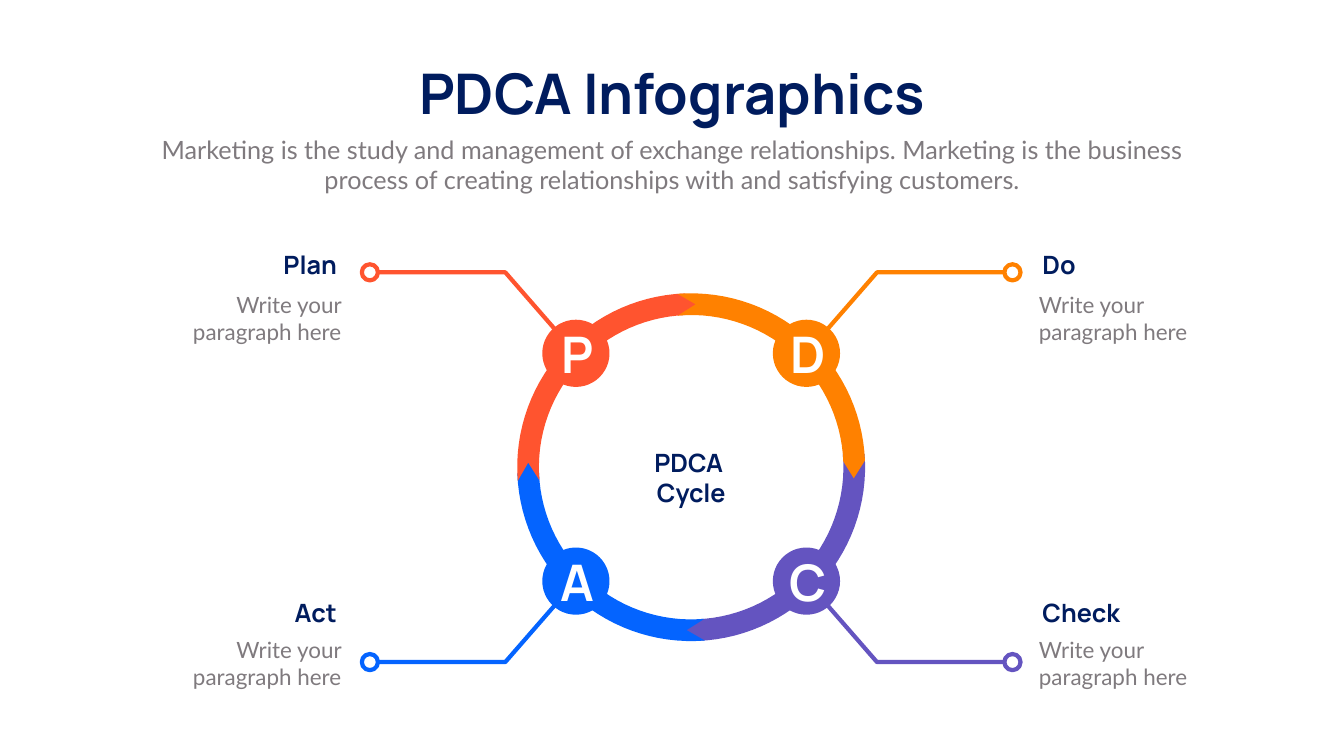
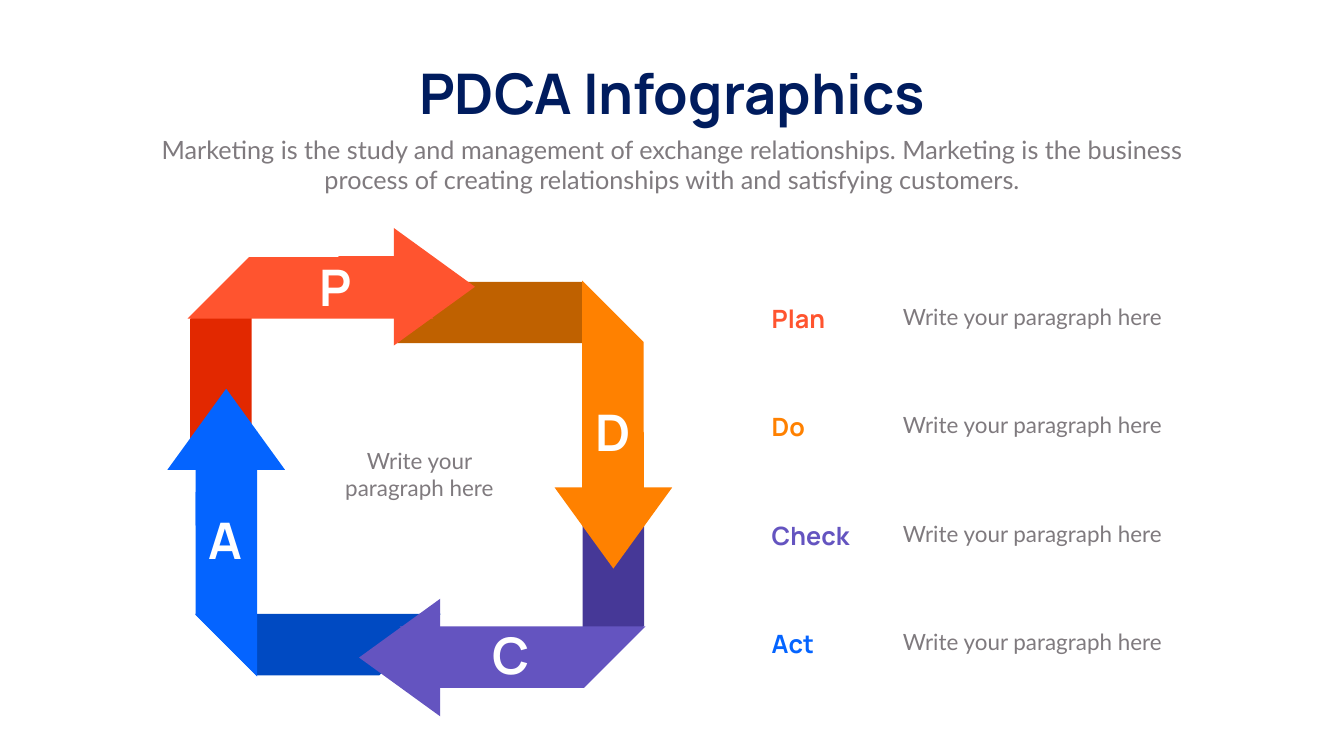
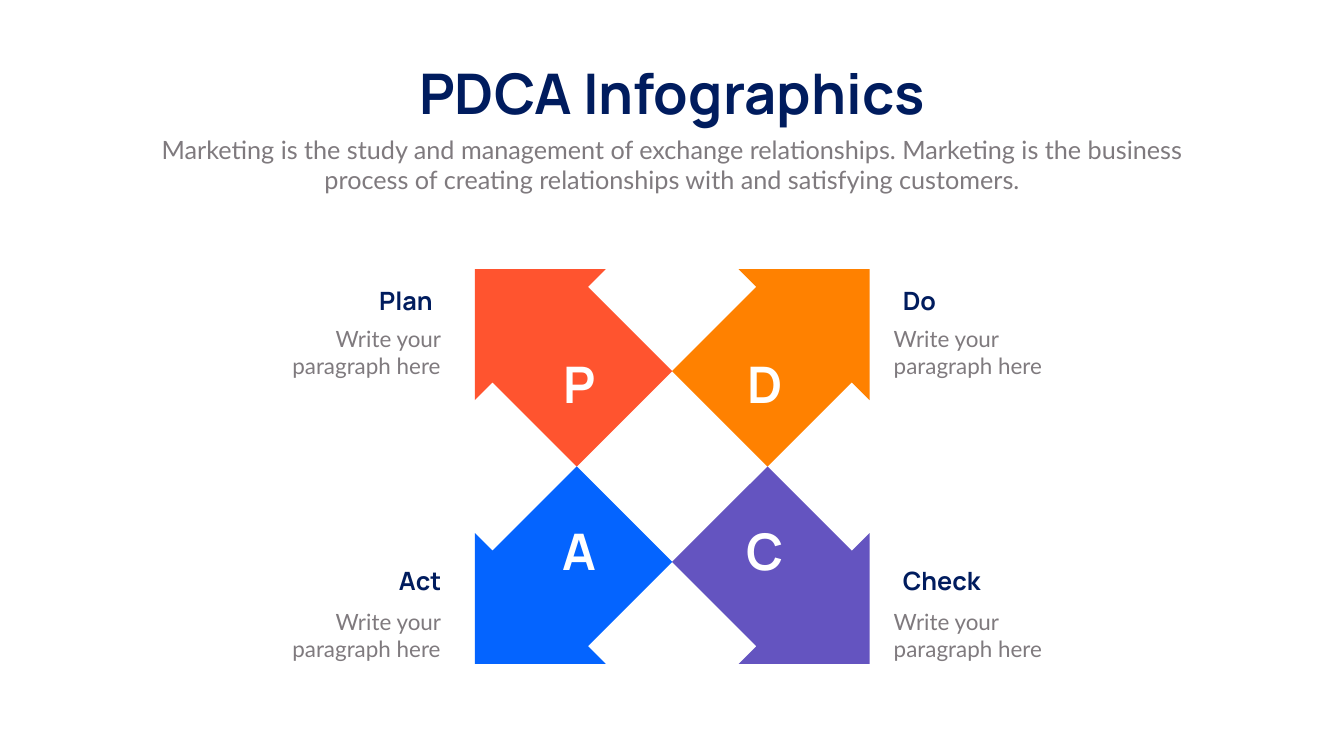
"""Build three PDCA infographic slides on an 80 by 45 grid."""
from dataclasses import dataclass
from math import cos, radians, sin

from pptx import Presentation
from pptx import util as u
from pptx.dml.color import RGBColor
from pptx.enum import shapes, text


@dataclass(frozen=True)
class Theme:
    navy: str = "001C5E"
    grey: str = "7F7A7E"
    white: str = "FFFFFF"
    head_font: str = "Manrope"
    body_font: str = "Lato"
    title: int = 80
    letter: int = 72
    head: int = 36
    body: int = 32
    line: int = 6


T = Theme()
KIND = shapes.MSO_SHAPE
LEFT, CENTER, RIGHT = text.PP_ALIGN.LEFT, text.PP_ALIGN.CENTER, text.PP_ALIGN.RIGHT
NOTE = "Write your paragraph here"
INTRO = ("Marketing is the study and management of exchange relationships. "
         "Marketing is the business process of creating relationships with "
         "and satisfying customers.")

prs = Presentation()
prs.slide_width, prs.slide_height = u.Inches(26.66), u.Inches(15)
UNIT = prs.slide_height // 45


def add_text(s, x, y, w, h, words, size, color, font=T.head_font, align=CENTER):
    sp = s.shapes.add_textbox(*(round(v * UNIT) for v in (x, y, w, h)))
    tf = sp.text_frame
    tf.word_wrap = True
    tf.auto_size = text.MSO_AUTO_SIZE.SHAPE_TO_FIT_TEXT
    p = tf.paragraphs[0]
    p.alignment = align
    for i, line in enumerate(words.split("\n")):
        if i:
            p.add_line_break()
        r = p.add_run()
        r.text = line
        r.font.name, r.font.size = font, u.Pt(size)
        r.font.bold = font == T.head_font
        r.font.color.rgb = RGBColor.from_string(color)


def add_centred(s, kind, cx, cy, w, h, fill, rotation=0, flip=False, line=None):
    box = (cx - w / 2, cy - h / 2, w, h)
    sp = s.shapes.add_shape(kind, *(round(v * UNIT) for v in box))
    sp.shadow.inherit = False
    sp.rotation = rotation % 360
    sp.fill.solid()
    sp.fill.fore_color.rgb = RGBColor.from_string(fill)
    if line:
        sp.line.color.rgb = RGBColor.from_string(line)
        sp.line.width = u.Pt(T.line)
    else:
        sp.line.fill.background()
    if flip:
        sp._element.spPr.get_or_add_xfrm().set("flipH", "1")
    return sp


steps = [
    ("P", "Plan", "FF542F", "E22800", -1, -1),
    ("D", "Do", "FF8100", "BF6100", 1, -1),
    ("C", "Check", "6454C0", "463897", 1, 1),
    ("A", "Act", "0464FF", "004AC2", -1, 1),
]

slides = []
for _ in range(3):
    s = prs.slides.add_slide(prs.slide_layouts[6])
    add_text(s, 23.5, 3.36, 33, 4.35, "PDCA Infographics", T.title, T.navy)
    add_text(s, 8.76, 7.83, 62.46, 3.93, INTRO, T.head, T.grey, T.body_font)
    slides.append(s)
ring_slide, loop_slide, cross_slide = slides

s = ring_slide
cx, cy = 41.13, 27.81
outer, middle, inner = 10.35, 9.7, 9.06
node_x, node_y = 6.86, 6.78

for letter, name, color, dark, dx, dy in steps:
    offsets = [(node_x, node_y), (11.06, 11.6), (19.12, 11.6)]
    pts = [((cx + dx * x) * UNIT, (cy + dy * y) * UNIT) for x, y in offsets]
    fb = s.shapes.build_freeform(*pts[0])
    fb.add_line_segments(pts[1:], close=False)
    sp = fb.convert_to_shape()
    sp.shadow.inherit = False
    sp.fill.background()
    sp.line.color.rgb = RGBColor.from_string(color)
    sp.line.width = u.Pt(T.line)
    add_centred(s, KIND.OVAL, cx + dx * 19.12, cy + dy * 11.6, 0.96, 0.96, T.white, line=color)

for k in (2, 3, 0, 1):
    start = 180 + 90 * k
    polar = [(middle, start + 1.6)]
    polar += [(outer, start - 4.5 + 92.3 * i / 30) for i in range(31)]
    polar += [(middle, start + 93.9)]
    polar += [(inner, start + 87.8 - 92.8 * i / 30) for i in range(31)]
    pts = [((cx + radius * cos(radians(a))) * UNIT, (cy + radius * sin(radians(a))) * UNIT)
           for radius, a in polar]
    fb = s.shapes.build_freeform(*pts[0])
    fb.add_line_segments(pts[1:], close=True)
    sp = fb.convert_to_shape()
    sp.shadow.inherit = False
    sp.fill.solid()
    sp.fill.fore_color.rgb = RGBColor.from_string(steps[k][2])
    sp.line.fill.background()

for letter, name, color, dark, dx, dy in steps:
    x, y = cx + dx * node_x, cy + dy * node_y
    add_centred(s, KIND.OVAL, x, y, 4, 4, color)
    add_text(s, x - 2.15, y - 1.93, 4.47, 3.93, letter, T.letter, T.white)
add_text(s, cx - 5.05, 26.49, 10.11, 3.93, "PDCA \nCycle", T.head, T.navy)

s = loop_slide
tails = [(14.97, 22.64), (30.95, 20.43), (34.68, 33.59), (18.92, 36.54)]
bodies = [(18.47, 18.96), (34.65, 24.02), (31.1, 37.29), (15.3, 32.96)]
heads = [(25.85, 17.07), (36.5, 31.43), (23.78, 39.14), (13.46, 25.55)]
wedges = [(22.53, 16.95), (36.62, 28.1), (27.03, 39.24), (13.34, 28.88)]
letters = [(19.97, 17.09), (36.5, 25.7), (30.41, 38.99), (13.43, 32.15)]

for k, step in enumerate(steps):
    add_centred(s, KIND.DIAGONAL_STRIPE, *tails[k], 10.34, 10.34, step[3], 225 + 90 * k, True)
for k, (letter, name, color, dark, dx, dy) in enumerate(steps):
    turn = 315 + 90 * k
    add_centred(s, KIND.DIAGONAL_STRIPE, *bodies[k], 10.34, 10.34, color, turn, True)
    add_centred(s, KIND.ISOSCELES_TRIANGLE, *heads[k], 7, 4.83, color, turn + 135, True)
    add_centred(s, KIND.RIGHT_TRIANGLE, *wedges[k], 3.4, 4.82, color, turn - 45, True)
    x, y = letters[k]
    add_text(s, x - 2.23, y - 1.97, 4.47, 3.93, letter, T.letter, T.white)
    row = 17.88 + 6.46 * k
    add_text(s, 53.43, row, 17.82, 1.92, NOTE, T.body, T.grey, T.body_font, LEFT)
    add_text(s, 45.63, row, 5.8, 2.13, name, T.head, color, align=LEFT)
add_text(s, 20.01, 26.46, 9.9, 3.54, NOTE, T.body, T.grey, T.body_font)

s = cross_slide
cx, cy = 40, 27.77
for k, (letter, name, color, dark, dx, dy) in enumerate(steps):
    sp = add_centred(s, KIND.RIGHT_ARROW, cx + dx * 7.29, cy + dy * 7.29, 12.6, 11.01,
                     color, 225 + 90 * k)
    sp.adjustments[0], sp.adjustments[1] = 0.73, 0.5
    add_text(s, cx + dx * 5.52 - 2.23, cy + dy * 5 - 1.93, 4.47, 3.93,
             letter, T.letter, T.white)

captions = [
    (ring_slide, (20.34, 61.74, 61.74, 20.34), (14.67, 35.4), (20.61, 61.53), (17.16, 37.7)),
    (cross_slide, (26.04, 53.43, 53.43, 26.55), (16.83, 33.48), (26.52, 52.89), (19.2, 36.06)),
]
for s, head_edges, head_rows, note_edges, note_rows in captions:
    for (letter, name, color, dark, dx, dy), head_edge in zip(steps, head_edges):
        side, level = dx > 0, dy > 0
        align = LEFT if side else RIGHT
        shift = 0 if side else 10
        add_text(s, head_edge - shift, head_rows[level], 10, 2.13, name,
                 T.head, T.navy, align=align)
        add_text(s, note_edges[side] - shift, note_rows[level], 10, 3.54, NOTE,
                 T.body, T.grey, T.body_font, align)

prs.save("out.pptx")
